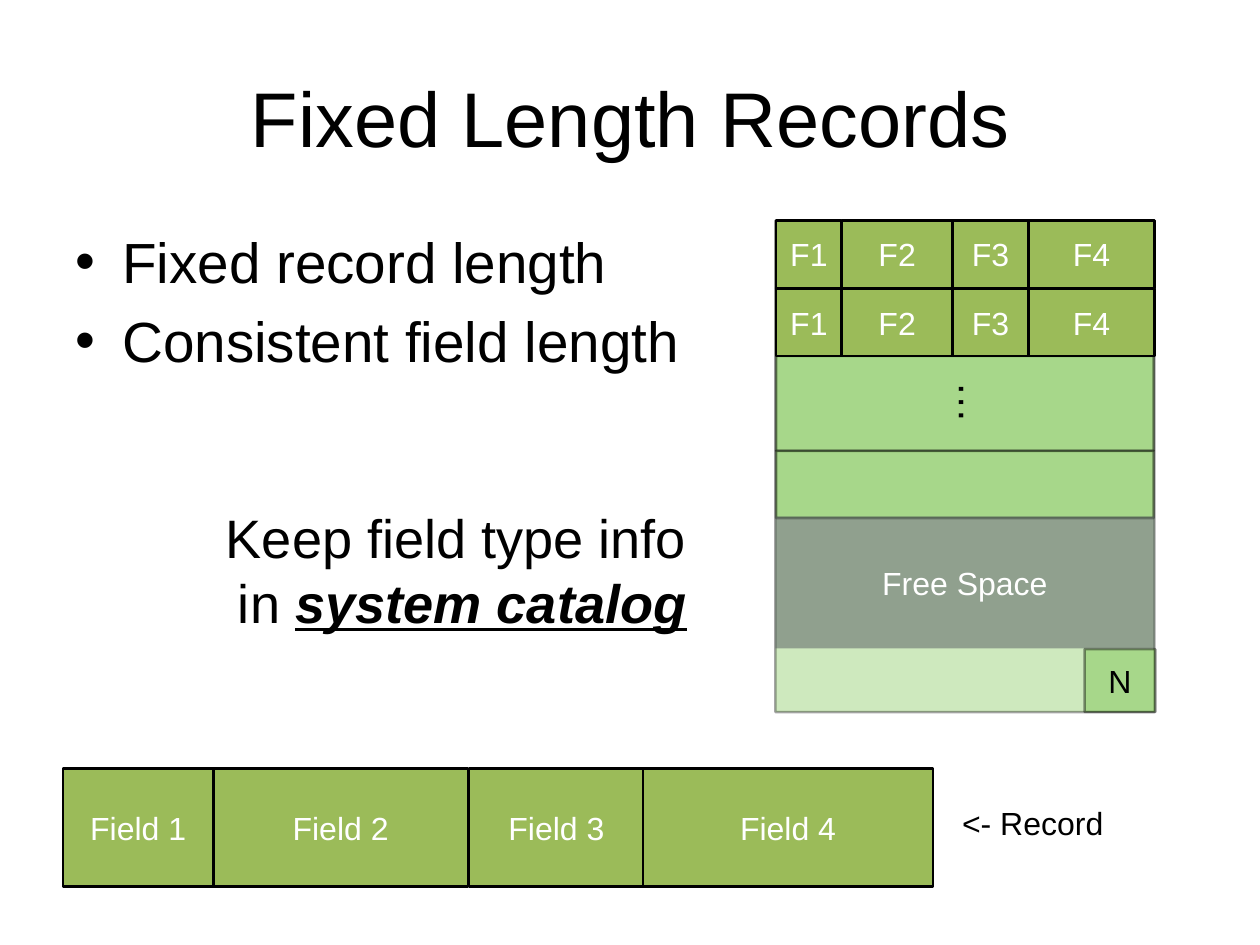
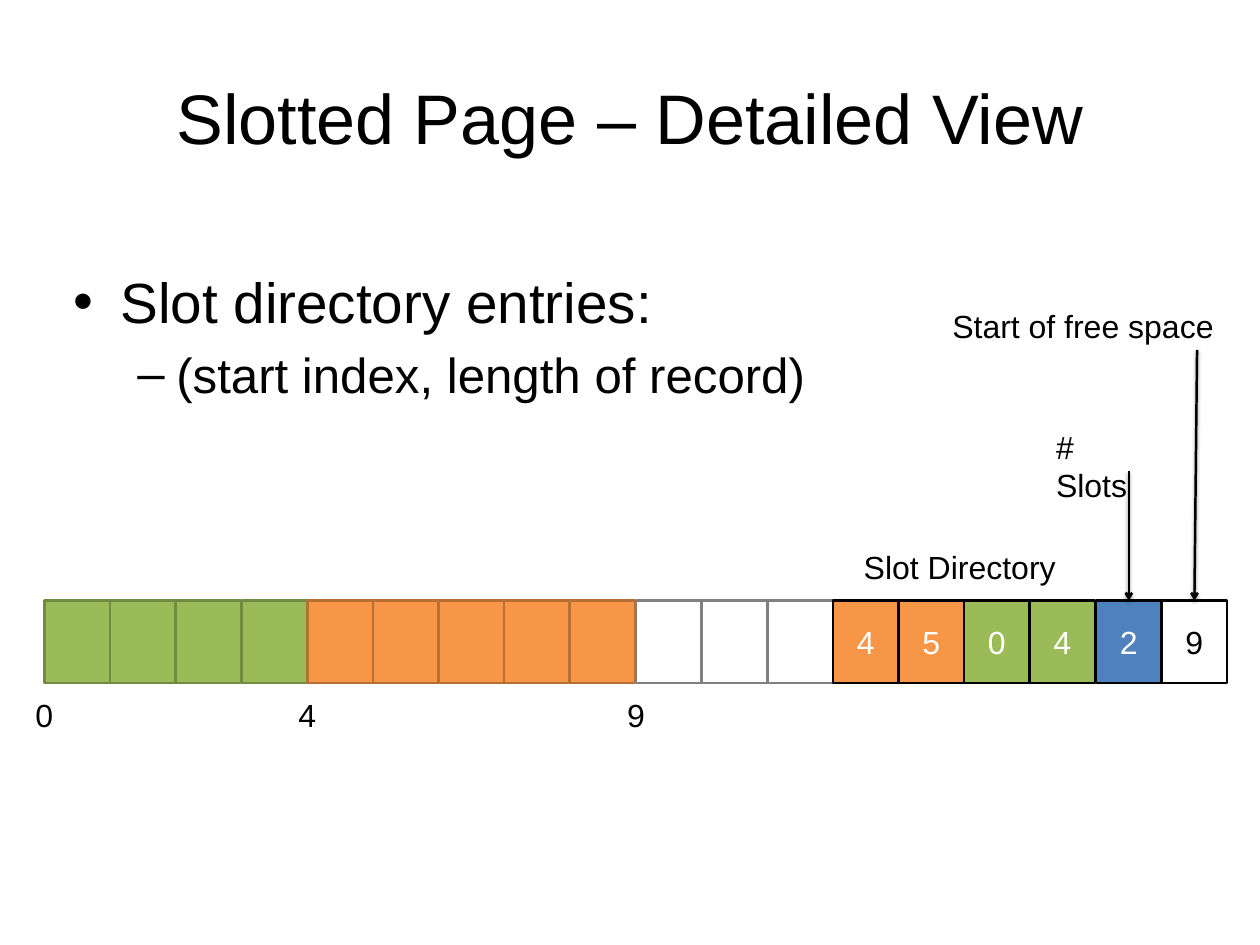
import pptx
import pptx.util
import pptx.dml.color
import pptx.enum.shapes
import pptx.enum.text
import pptx.oxml.ns
import lxml.etree

Inches = pptx.util.Inches
Pt = pptx.util.Pt
RGB = pptx.dml.color.RGBColor
ALIGN = pptx.enum.text.PP_ALIGN
ANCHOR = pptx.enum.text.MSO_ANCHOR
RECTANGLE = pptx.enum.shapes.MSO_SHAPE.RECTANGLE
qn = pptx.oxml.ns.qn

BLACK = RGB(0x00, 0x00, 0x00)
WHITE = RGB(0xFF, 0xFF, 0xFF)
GREY = RGB(0x80, 0x80, 0x80)
SLATE = RGB(0x53, 0x58, 0x5F)
LEAF = RGB(0x70, 0xBF, 0x41)
OLIVE = RGB(0x9B, 0xBB, 0x59)
OLIVE_EDGE = RGB(0x73, 0x8A, 0x42)
ORANGE = RGB(0xF7, 0x96, 0x46)
ORANGE_EDGE = RGB(0xB7, 0x6F, 0x34)
BLUE = RGB(0x4F, 0x81, 0xBD)

TITLE_BOX = (0.71, 0.43, 12.8, 1.78)
WIDE_INSETS = (0.14, 0.07, 0.14, 0.07)
NORMAL_INSETS = (0.1, 0.05, 0.1, 0.05)
NO_INSETS = (0, 0, 0, 0)
LABEL_SIZE = 26
LABEL_HEIGHT = 0.54
BULLET_LEVELS = [
    {"char": "•", "size": 46, "margin": 0.53, "indent": -0.53},
    {"char": "–", "size": 40, "margin": 1.16, "indent": -0.44},
]
FIELD_WIDTHS = (0.74, 1.25, 0.86, 1.42)


def apply(target, values):
    for name, value in values.items():
        setattr(target, name, value)


def inches(*lengths):
    return [Inches(round(length, 2)) for length in lengths]


def set_frame(frame, insets=NORMAL_INSETS, anchor=ANCHOR.TOP, wrap=True):
    left, top, right, bottom = inches(*insets)
    apply(frame, {
        "margin_left": left, "margin_top": top,
        "margin_right": right, "margin_bottom": bottom,
        "vertical_anchor": anchor, "word_wrap": wrap,
        "auto_size": pptx.enum.text.MSO_AUTO_SIZE.NONE,
    })


def add_run(paragraph, text, size=LABEL_SIZE, color=BLACK, **emphasis):
    run = paragraph.add_run()
    run.text = text
    apply(run.font, {"name": "Arial", "size": Pt(size), **emphasis})
    run.font.color.rgb = color


def add_child(parent, tag, **attributes):
    return lxml.etree.SubElement(parent, qn(tag), attributes)


def add_titled_slide(deck, text, size):
    slide = deck.slides.add_slide(deck.slide_layouts[5])
    title = slide.shapes.title
    apply(title, dict(zip(("left", "top", "width", "height"), inches(*TITLE_BOX))))
    set_frame(title.text_frame, WIDE_INSETS, ANCHOR.MIDDLE)
    heading = title.text_frame.paragraphs[0]
    heading.alignment = ALIGN.CENTER
    add_run(heading, text, size)
    return slide


def add_bullets(shapes, box, items):
    frame = shapes.add_textbox(*inches(*box)).text_frame
    set_frame(frame, WIDE_INSETS)
    for index, (level, text) in enumerate(items):
        bullet = frame.add_paragraph() if index else frame.paragraphs[0]
        look = BULLET_LEVELS[level]
        bullet.level = level
        add_run(bullet, text, look["size"])
        props = bullet._p.get_or_add_pPr()
        props.set("marL", str(Inches(look["margin"])))
        props.set("indent", str(Inches(look["indent"])))
        add_child(add_child(props, "a:spcBef"), "a:spcPct", val="20000")
        add_child(props, "a:buFont", typeface="Arial")
        add_child(props, "a:buChar", char=look["char"])


def add_label(shapes, text, box, wrap=False):
    label = shapes.add_textbox(*inches(*box))
    set_frame(label.text_frame, wrap=wrap)
    add_run(label.text_frame.paragraphs[0], text)


def add_cell(shapes, box, fill, edge=BLACK, text="", color=WHITE, opacity=100,
             insets=NORMAL_INSETS):
    cell = shapes.add_shape(RECTANGLE, *inches(*box))
    cell.shadow.inherit = False
    cell.fill.solid()
    cell.fill.fore_color.rgb = fill
    if edge is None:
        cell.line.fill.background()
    else:
        cell.line.color.rgb = edge
        cell.line.width = Pt(2)
    if opacity < 100:
        for tint in cell._element.spPr.iter(qn("a:srgbClr")):
            add_child(tint, "a:alpha", val=str(opacity * 1000))
    if text:
        set_frame(cell.text_frame, insets, ANCHOR.MIDDLE)
        caption = cell.text_frame.paragraphs[0]
        caption.alignment = ALIGN.CENTER
        add_run(caption, text, color=color)


def add_record(slide, box, prefix):
    left, top, width, height = box
    fields = slide.shapes.add_group_shape().shapes
    scale = width / sum(FIELD_WIDTHS)
    for number, share in enumerate(FIELD_WIDTHS, 1):
        add_cell(fields, (left, top, share * scale, height), OLIVE,
                 text=f"{prefix}{number}")
        left += share * scale


def add_page(slide, box):
    left, top, width, height = box
    parts = slide.shapes.add_group_shape().shapes
    add_cell(parts, box, LEAF, opacity=34)
    for offset, depth in ((0.01, 0.76), (0.76, 0.76), (1.53, 1.07), (2.6, 0.76)):
        add_cell(parts, (left + 0.01, top + offset, width - 0.02, depth), LEAF, opacity=41)
    more = parts.add_textbox(*inches(left + 1.64, top + 1.72, 0.59, 0.68))
    more.rotation = 270
    set_frame(more.text_frame, (0.06,) * 4, ANCHOR.MIDDLE, False)
    more.text_frame.paragraphs[0].alignment = ALIGN.CENTER
    add_run(more.text_frame.paragraphs[0], "…", 34)
    add_cell(parts, (left, top + 3.34, width, 1.49), SLATE, None, "Free Space",
             opacity=50, insets=NO_INSETS)
    add_cell(parts, (left + width - 0.79, top + height - 0.71, 0.8, 0.71), LEAF,
             text="N", color=BLACK, opacity=41, insets=NO_INSETS)
    for row in range(2):
        add_record(slide, (left + 0.01, top + row * 0.77, 4.27, 0.76), "F")


def add_catalog_note(shapes, box):
    note = shapes.add_textbox(*inches(*box)).text_frame
    set_frame(note)
    sentence = note.paragraphs[0]
    sentence.alignment = ALIGN.RIGHT
    add_run(sentence, "Keep field type info in ", 44)
    add_run(sentence, "system catalog", 44, bold=True, italic=True, underline=True)


def add_slots(slide, box):
    left, top, width, height = box
    slots = (
        [(OLIVE, OLIVE_EDGE, "", WHITE)] * 4
        + [(ORANGE, ORANGE_EDGE, "", WHITE)] * 5
        + [(WHITE, GREY, "", WHITE)] * 3
        + [(ORANGE, BLACK, digit, WHITE) for digit in "45"]
        + [(OLIVE, BLACK, digit, WHITE) for digit in "04"]
        + [(BLUE, BLACK, "2", WHITE), (WHITE, BLACK, "9", BLACK)]
    )
    pitch = width / len(slots)
    parts = slide.shapes.add_group_shape().shapes
    for index, (fill, edge, text, color) in enumerate(slots):
        add_cell(parts, (left + index * pitch, top, pitch, height), fill, edge, text, color)
    for index in (0, 4, 9):
        add_label(parts, str(index),
                  (left + index * pitch - 0.2, top + height + 0.1, 0.4, LABEL_HEIGHT))


def add_pointer(shapes, start, end):
    pointer = shapes.add_connector(
        pptx.enum.shapes.MSO_CONNECTOR.STRAIGHT, *inches(*start, *end))
    pointer.line.color.rgb = BLACK
    pointer.line.width = Pt(2)
    props = pointer._element.spPr
    add_child(props.find(qn("a:ln")), "a:tailEnd", type="arrow")
    shadow = add_child(add_child(props, "a:effectLst"), "a:outerShdw",
                       blurRad=str(Pt(3.1)), dist=str(Pt(1.6)),
                       dir="5400000", rotWithShape="0")
    add_child(add_child(shadow, "a:srgbClr", val=str(BLACK)), "a:alpha", val="38000")


def build_fixed_length(deck):
    slide = add_titled_slide(deck, "Fixed Length Records", 63)
    add_bullets(slide.shapes, (0.71, 2.49, 12.8, 7.04),
                [(0, "Fixed record length"), (0, "Consistent field length")])
    add_record(slide, (0.71, 8.68, 9.82, 1.33), "Field ")
    add_page(slide, (8.75, 2.49, 4.28, 5.55))
    add_label(slide.shapes, "<- Record", (10.76, 9.02, 1.86, LABEL_HEIGHT))
    add_catalog_note(slide.shapes, (2.03, 5.65, 5.82, 1.58))


def build_slotted_page(deck):
    slide = add_titled_slide(deck, "Slotted Page – Detailed View", 57)
    shapes = slide.shapes
    add_bullets(shapes, (0.69, 2.94, 12.8, 7.04),
                [(0, "Slot directory entries:"), (1, "(start index, length of record)")])
    add_slots(slide, (0.5, 6.78, 13.35, 0.93))
    add_label(shapes, "Slot Directory", (9.65, 6.13, 2.47, LABEL_HEIGHT))
    add_label(shapes, "# Slots", (11.82, 4.78, 1.3, LABEL_HEIGHT), wrap=True)
    add_pointer(shapes, (12.74, 5.32), (12.74, 6.78))
    add_label(shapes, "Start of free space", (10.65, 3.41, 3.2, LABEL_HEIGHT))
    add_pointer(shapes, (13.51, 3.95), (13.48, 6.78))


def main():
    deck = pptx.Presentation()
    deck.slide_width, deck.slide_height = inches(14.22, 10.67)
    build_fixed_length(deck)
    build_slotted_page(deck)
    deck.save("out.pptx")


if __name__ == "__main__":
    main()
